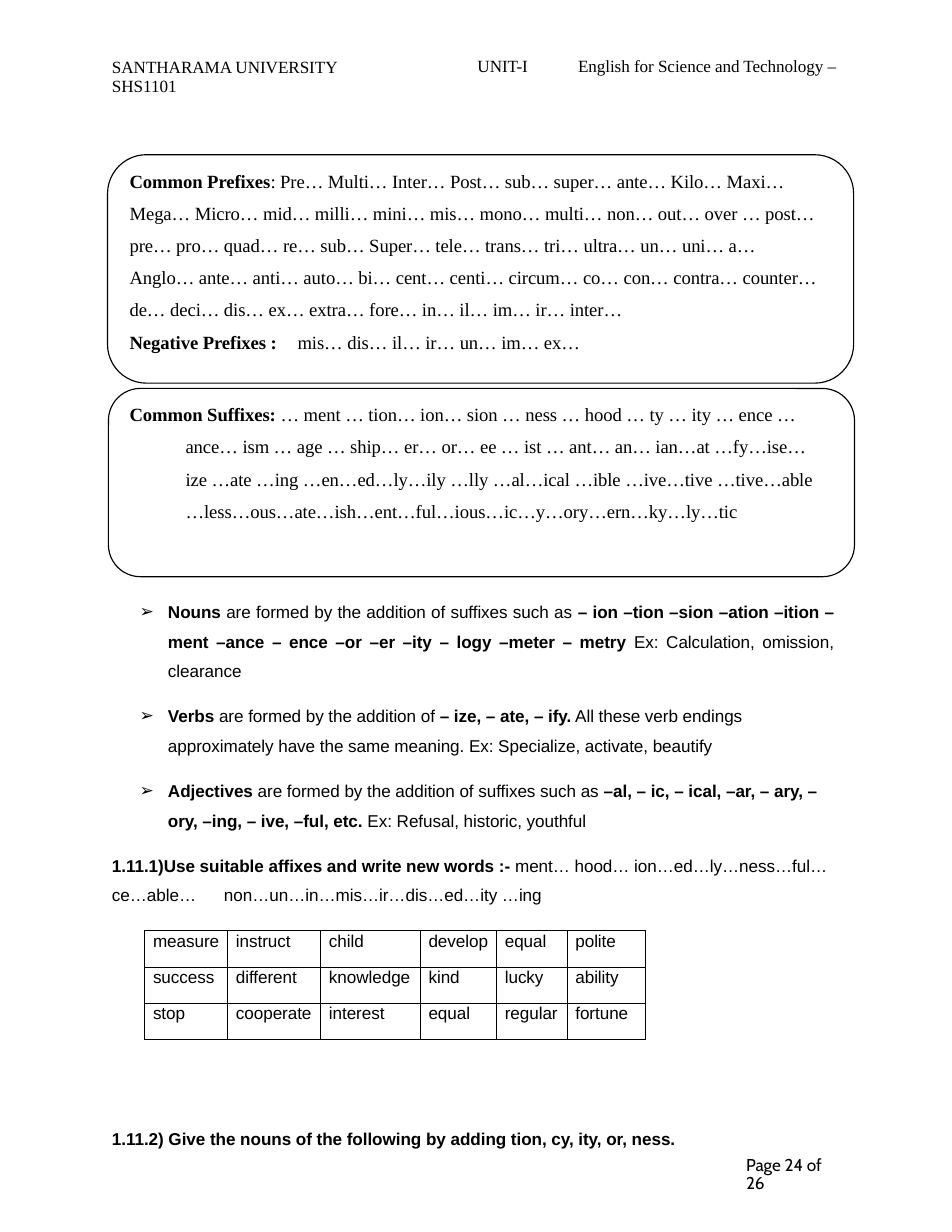
from collections import namedtuple
from dataclasses import dataclass

from lxml.etree import SubElement
from pptx import Presentation
from pptx.dml.color import RGBColor
from pptx.enum.shapes import MSO_SHAPE as Shape
from pptx.enum.text import PP_ALIGN as Align
from pptx.oxml.ns import qn
from pptx.util import Cm, Pt

Box = namedtuple("Box", "left top width height")


@dataclass(frozen=True)
class Theme:
    ink: RGBColor = RGBColor(0, 0, 0)
    serif: str = "Times New Roman"
    sans: str = "Arial"
    footer: str = "Cabin"
    body_size: int = 11
    panel_size: int = 12
    spacing: float = 1.44
    tracking: int = -5
    panel_line: float = 0.75
    grid_line: float = 0.5


THEME = Theme()

PREFIXES = (
    "**Common Prefixes**: Pre… Multi… Inter… Post… sub… super… ante… Kilo… Maxi… "
    "Mega… Micro… mid… milli… mini… mis… mono… multi… non… out… over … post… "
    "pre… pro… quad… re… sub… Super… tele… trans… tri… ultra… un… uni… a… "
    "Anglo… ante… anti… auto… bi… cent… centi… circum… co… con… contra… counter… "
    "de… deci… dis… ex… extra… fore… in… il… im… ir… inter…"
)
NEGATIVES = "**Negative Prefixes :**\tmis… dis… il… ir… un… im… ex…"
SUFFIXES = (
    "**Common Suffixes:** … ment … tion… ion… sion … ness … hood … ty … ity … ence … "
    "ance… ism … age … ship… er… or… ee … ist … ant… an… ian…at …fy…ise… "
    "ize …ate …ing …en…ed…ly…ily …lly …al…ical …ible …ive…tive …tive…able"
)
MORE_SUFFIXES = "…less…ous…ate…ish…ent…ful…ious…ic…y…ory…ern…ky…ly…tic"
RULES = [
    "**Nouns** are formed by the addition of suffixes such as **– ion –tion –sion "
    "–ation –ition – ment –ance – ence –or –er –ity – logy –meter – metry** "
    "Ex: Calculation, omission, clearance",
    "**Verbs** are formed by the addition of **– ize, – ate, – ify.** All these verb "
    "endings approximately have the same meaning. Ex: Specialize, activate, beautify",
    "**Adjectives** are formed by the addition of suffixes such as **–al, – ic, – ical, "
    "–ar, – ary, – ory, –ing, – ive, –ful, etc.** Ex: Refusal, historic, youthful",
]
AFFIX_TASK = (
    "**1.11.1)Use suitable affixes and write new words :-** "
    "ment… hood… ion…ed…ly…ness…ful… ce…able…\tnon…un…in…mis…ir…dis…ed…ity …ing"
)
NOUN_TASK = "**1.11.2) Give the nouns of the following by adding tion, cy, ity, or, ness.**"
WORDS = [
    ["measure", "instruct", "child", "develop", "equal", "polite"],
    ["success", "different", "knowledge", "kind", "lucky", "ability"],
    ["stop", "cooperate", "interest", "equal", "regular", "fortune"],
]
COLUMN_WIDTHS = [1.88, 2.11, 2.26, 1.73, 1.6, 1.78]


def lengths(box):
    return [Cm(value) for value in box]


def add_text_frame(page, box, top_inset=0.03):
    frame = page.shapes.add_textbox(*lengths(box)).text_frame
    frame.word_wrap = True
    frame.margin_left = frame.margin_right = frame.margin_bottom = 0
    frame.margin_top = Cm(top_inset)
    return frame


def write(para, text, face, size, spacing=None, before=0, left=0.03, first=0,
          bullet=None, tab=None):
    props = para._p.get_or_add_pPr()
    props.set("marL", str(Cm(left)))
    props.set("indent", str(Cm(first)))
    if bullet:
        SubElement(props, qn("a:buFont"), typeface=face)
        SubElement(props, qn("a:buChar"), char=bullet)
    if tab:
        stops = SubElement(props, qn("a:tabLst"))
        SubElement(stops, qn("a:tab"), pos=str(Cm(tab)), algn="l")
    if spacing:
        para.line_spacing = spacing
    para.space_before = Pt(before)
    para.font.name = face
    para.font.size = Pt(size)
    para.font.color.rgb = THEME.ink
    for index, part in enumerate(text.split("**")):
        if part:
            span = para.add_run()
            span.text = part
            span._r.get_or_add_rPr().set("spc", str(THEME.tracking))
            if index % 2:
                span.font.bold = True


def add_header(page, box):
    name = add_text_frame(page, Box(box.left, box.top, 5.23, box.height), 0.07)
    write(name.paragraphs[0], "SANTHARAMA UNIVERSITY SHS1101", THEME.serif,
          THEME.body_size, Pt(12.6), 1.9)
    for text, offset, width in [("UNIT-I", 8.29, 1.4),
                                ("English for Science and Technology –", 10.57, 6.1)]:
        frame = add_text_frame(page, Box(box.left + offset, box.top, width, 0.53))
        write(frame.paragraphs[0], text, THEME.serif, THEME.body_size, before=1)


def add_word_panel(page, box, entries):
    outline = page.shapes.add_shape(Shape.ROUNDED_RECTANGLE, *lengths(box))
    outline.adjustments[0] = 0.17
    outline.shadow.inherit = False
    outline.fill.background()
    outline.line.color.rgb = THEME.ink
    outline.line.width = Pt(THEME.panel_line)
    frame = add_text_frame(
        page, Box(box.left + 0.45, box.top + 0.08, box.width - 1.15, box.height - 0.5))
    for index, (text, style) in enumerate(entries):
        para = frame.add_paragraph() if index else frame.paragraphs[0]
        write(para, text, THEME.serif, THEME.panel_size, **style)


def add_rules(page, box):
    frame = add_text_frame(page, box)
    for index, rule in enumerate(RULES):
        para = frame.add_paragraph() if index else frame.paragraphs[0]
        write(para, rule, THEME.sans, THEME.body_size, THEME.spacing,
              9.9 if index else 0.9, 1.3, -0.64, "➢")
    frame.paragraphs[0].alignment = Align.JUSTIFY
    write(frame.add_paragraph(), AFFIX_TASK, THEME.sans, THEME.body_size,
          THEME.spacing, 9.9, tab=4)


def add_cell_borders(cell):
    props = cell._tc.get_or_add_tcPr()
    for index, side in enumerate(("a:lnL", "a:lnR", "a:lnT", "a:lnB")):
        line = props.makeelement(qn(side), {"w": str(Pt(THEME.grid_line))})
        fill = SubElement(line, qn("a:solidFill"))
        SubElement(fill, qn("a:srgbClr"), val=str(THEME.ink))
        props.insert(index, line)


def add_word_table(page, box):
    table = page.shapes.add_table(len(WORDS), len(COLUMN_WIDTHS), *lengths(box)).table
    table.first_row = table.horz_banding = False
    for column, width in zip(table.columns, COLUMN_WIDTHS):
        column.width = Cm(width)
    for row, words in zip(table.rows, WORDS):
        row.height = Cm(box.height / len(WORDS))
        for cell, word in zip(row.cells, words):
            cell.margin_left = cell.margin_right = 0
            cell.margin_top = cell.margin_bottom = 0
            cell.fill.background()
            add_cell_borders(cell)
            write(cell.text_frame.paragraphs[0], word, THEME.sans, THEME.body_size,
                  Pt(12.8), left=0.19)


def add_noun_task(page, box):
    frame = add_text_frame(page, box)
    write(frame.paragraphs[0], NOUN_TASK, THEME.sans, THEME.body_size, before=1)


def add_footer(page, box):
    frame = add_text_frame(page, box, 0)
    write(frame.paragraphs[0], "Page 24 of 26", THEME.footer, THEME.body_size, Pt(11.4))


def main():
    deck = Presentation()
    deck.slide_width, deck.slide_height = Cm(21.59), Cm(27.94)
    page = deck.slides.add_slide(deck.slide_layouts[6])
    add_header(page, Box(2.51, 1.22, 16.56, 0.99))
    add_word_panel(page, Box(2.44, 3.51, 16.92, 5.18), [
        (PREFIXES, dict(spacing=THEME.spacing, before=1, left=0.05)),
        (NEGATIVES, dict(before=6.3, left=0.05, tab=3.96)),
    ])
    add_word_panel(page, Box(2.46, 8.81, 16.92, 4.27), [
        (SUFFIXES, dict(spacing=THEME.spacing, left=1.3, first=-1.27)),
        (MORE_SUFFIXES, dict(before=6.3, left=1.3)),
    ])
    add_rules(page, Box(2.51, 13.41, 16.41, 7.14))
    add_word_table(page, Box(3.28, 21.11, sum(COLUMN_WIDTHS), 2.46))
    add_noun_task(page, Box(2.51, 25.55, 13.03, 0.53))
    add_footer(page, Box(16.89, 26.24, 2.21, 0.46))
    deck.save("out.pptx")


if __name__ == "__main__":
    main()
